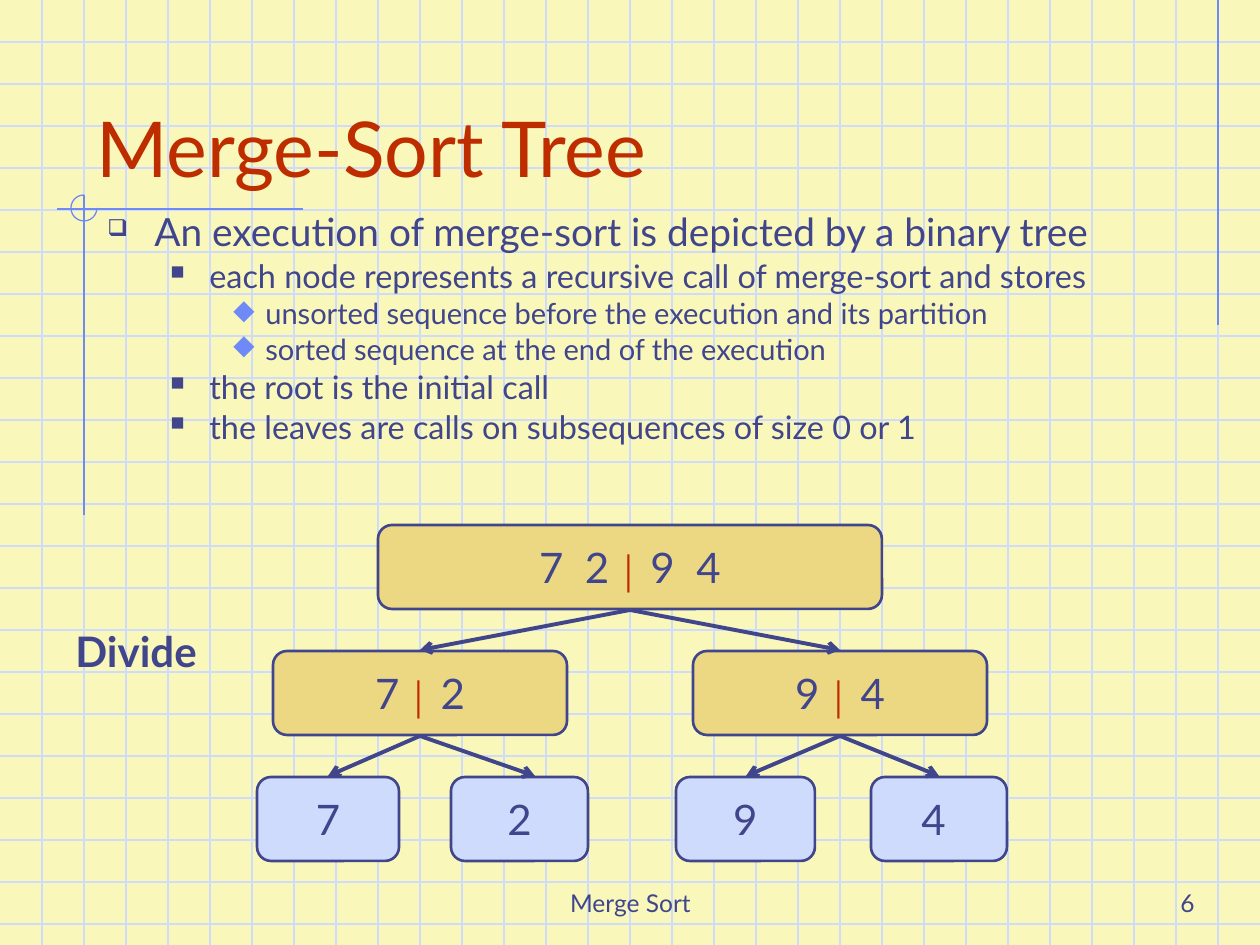
from lxml import etree
from pptx import Presentation
from pptx.dml.color import RGBColor
from pptx.enum.shapes import MSO_CONNECTOR, MSO_SHAPE
from pptx.enum.text import MSO_ANCHOR, PP_ALIGN
from pptx.oxml.ns import qn
from pptx.util import Emu, Pt

PX = 914400 / 126
WIDTH, HEIGHT, GRID = 1260, 945, 42

PAPER = RGBColor(0xF9, 0xF8, 0xBA)
GRID_BLUE = RGBColor(0xCF, 0xDB, 0xFD)
ACCENT_BLUE = RGBColor(0x6F, 0x89, 0xF7)
INK = RGBColor(0x40, 0x45, 0x8C)
RED = RGBColor(0xBE, 0x2D, 0x00)
GOLD = RGBColor(0xEC, 0xD8, 0x82)

DIVIDER = "│"
# level: bullet, bullet colour, bullet size %, text left, hanging, points, space before
OUTLINE_LEVELS = [
    ("❑", INK, 60, 47, 47, 22.2, 0),
    ("■", INK, 60, 102, 39, 18.5, 5),
    ("◆", ACCENT_BLUE, 95, 158, 32, 16.6, 4.5),
]
OUTLINE = [
    (0, "An execution of merge-sort is depicted by a binary tree"),
    (1, "each node represents a recursive call of merge-sort and stores"),
    (2, "unsorted sequence before the execution and its partition"),
    (2, "sorted sequence at the end of the execution"),
    (1, "the root is the initial call"),
    (1, "the leaves are calls on subsequences of size 0 or 1"),
]

NODE_HEIGHT, ROW_PITCH, ROOT_TOP = 84, 126, 525
ROOT = ("7  2 │ 9  4", 378, 504)
# halves: text, left, width, leaves; leaf: text, left, width, arrow tip x
HALVES = [
    ("7 │ 2", 273, 294, [("7", 257, 142, 328), ("2", 451, 137, 535)]),
    ("9 │ 4", 693, 294, [("9", 676, 139, 746), ("4 ", 871, 136, 939)]),
]


def px(length):
    return Emu(round(length * PX))


class Deck:
    """Holds the style and the slide being drawn."""

    def __init__(self, font="Lato", color=INK):
        self.font, self.color = font, color
        self.presentation = Presentation()
        self.presentation.slide_width = px(WIDTH)
        self.presentation.slide_height = px(HEIGHT)
        self.slide = self.presentation.slides.add_slide(self.presentation.slide_layouts[6])
        self.shapes = self.slide.shapes

    def background(self, color):
        fill = self.slide.background.fill
        fill.solid()
        fill.fore_color.rgb = color

    def style(self, run, size, color=None, bold=False, font=None):
        run.font.size = Pt(size)
        run.font.name = font or self.font
        run.font.bold = bold
        run.font.color.rgb = color or self.color

    def line(self, start, end, color, width=0.75, arrow=False):
        connector = self.shapes.add_connector(
            MSO_CONNECTOR.STRAIGHT, *map(px, (*start, *end)))
        connector.line.color.rgb = color
        connector.line.width = Pt(width)
        properties = connector.line._get_or_add_ln()
        if arrow:
            etree.SubElement(properties, qn("a:tailEnd"), type="arrow")
        etree.SubElement(connector._element.spPr, qn("a:effectLst"))

    def arc(self, left, top, size, color):
        """Three quarters of a circle, open at the upper right."""
        arc = self.shapes.add_shape(MSO_SHAPE.ARC, *map(px, (left, top, size, size)))
        arc.shadow.inherit = False
        arc.adjustments[0] = 0
        arc.adjustments[1] = 162
        arc.fill.background()
        arc.line.color.rgb = color
        arc.line.width = Pt(0.75)

    def frame(self, box, anchor):
        frame = self.shapes.add_textbox(*map(px, box)).text_frame
        frame.word_wrap = True
        frame.vertical_anchor = anchor
        return frame

    def text(self, box, words, size, color=None, align=PP_ALIGN.LEFT,
             anchor=MSO_ANCHOR.BOTTOM, bold=False):
        frame = self.frame(box, anchor)
        frame.text = words
        paragraph = frame.paragraphs[0]
        paragraph.alignment = align
        self.style(paragraph.runs[0], size, color, bold)

    def bullet(self, paragraph, mark, color, percent, left, hanging):
        properties = paragraph._p.get_or_add_pPr()
        properties.set("marL", str(px(left)))
        properties.set("indent", str(-px(hanging)))
        bullet_color = etree.SubElement(properties, qn("a:buClr"))
        etree.SubElement(bullet_color, qn("a:srgbClr"), val=str(color))
        etree.SubElement(properties, qn("a:buSzPct"), val=str(percent * 1000))
        etree.SubElement(properties, qn("a:buChar"), char=mark)

    def outline(self, box, items):
        frame = self.frame(box, MSO_ANCHOR.TOP)
        frame.text = "\n".join(words for _, words in items)
        for paragraph, (level, _) in zip(frame.paragraphs, items):
            *mark, size, before = OUTLINE_LEVELS[level]
            self.bullet(paragraph, *mark)
            paragraph.level = level
            paragraph.line_spacing = 0.8
            paragraph.space_before = Pt(before)
            self.style(paragraph.runs[0], size)

    def node(self, words, left, top, width, fill):
        """Tree node; the divider between its two halves is red."""
        node = self.shapes.add_shape(
            MSO_SHAPE.ROUNDED_RECTANGLE, *map(px, (left, top, width, NODE_HEIGHT)))
        node.shadow.inherit = False
        node.fill.solid()
        node.fill.fore_color.rgb = fill
        node.line.color.rgb = self.color
        node.line.width = Pt(1.5)
        frame = node.text_frame
        frame.word_wrap = False
        frame.vertical_anchor = MSO_ANCHOR.MIDDLE
        paragraph = frame.paragraphs[0]
        paragraph.alignment = PP_ALIGN.CENTER
        for part in filter(None, words.partition(DIVIDER)):
            run = paragraph.add_run()
            run.text = part
            if part == DIVIDER:
                self.style(run, 18, RED, bold=True, font="Arial")
            else:
                self.style(run, 24)

    def arrow(self, start_x, tip_x, parent_top):
        self.line((start_x, parent_top + NODE_HEIGHT + 1),
                  (tip_x, parent_top + ROW_PITCH - 1), self.color, 2.25, arrow=True)


def draw_backdrop(deck):
    deck.background(PAPER)
    for y in range(GRID, HEIGHT, GRID):
        deck.line((0, y), (WIDTH, y), GRID_BLUE)
    for x in range(GRID, WIDTH, GRID):
        deck.line((x, 0), (x, HEIGHT), GRID_BLUE)
    deck.line((1218, 0), (1218, 325), ACCENT_BLUE)
    deck.line((57, 209), (303, 209), ACCENT_BLUE)
    deck.line((84, 195), (84, 515), ACCENT_BLUE)
    deck.arc(71, 195, 26, ACCENT_BLUE)


def draw_tree(deck):
    half_top = ROOT_TOP + ROW_PITCH
    leaf_top = half_top + ROW_PITCH
    root_words, root_left, root_width = ROOT
    deck.node(root_words, root_left, ROOT_TOP, root_width, GOLD)
    for words, left, width, leaves in HALVES:
        center = left + width // 2
        deck.node(words, left, half_top, width, GOLD)
        deck.arrow(root_left + root_width // 2, center, ROOT_TOP)
        for leaf_words, leaf_left, leaf_width, tip in leaves:
            deck.node(leaf_words, leaf_left, leaf_top, leaf_width, GRID_BLUE)
            deck.arrow(center, tip, half_top)


def main():
    deck = Deck()
    draw_backdrop(deck)
    deck.text((431, 861, 399, 63), "Merge Sort", 14, align=PP_ALIGN.CENTER)
    deck.text((945, 861, 262, 63), "6", 14, align=PP_ALIGN.RIGHT)
    deck.text((84, 42, 1071, 157), "Merge-Sort Tree", 44, RED)
    deck.outline((95, 211, 1113, 304), OUTLINE)
    draw_tree(deck)
    deck.text((63, 619, 168, 63), "Divide", 24, anchor=MSO_ANCHOR.TOP, bold=True)
    deck.presentation.save("out.pptx")


if __name__ == "__main__":
    main()
